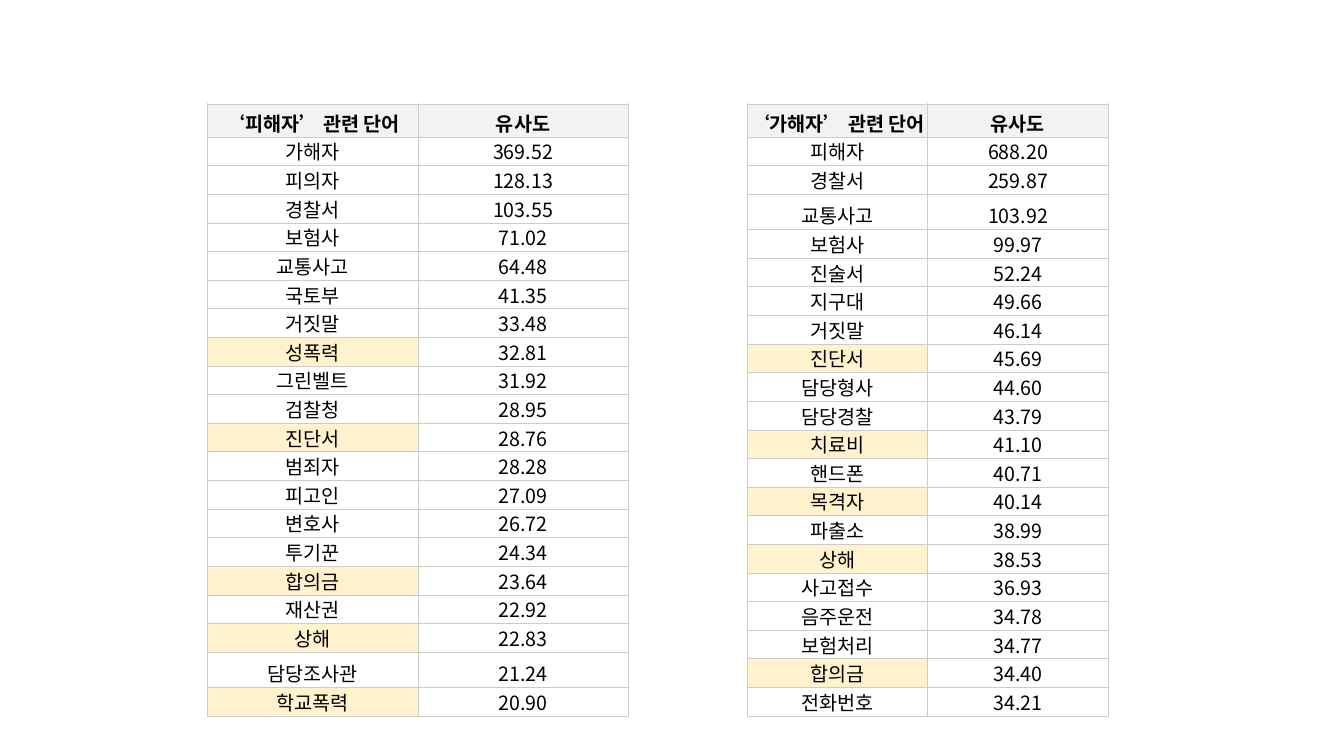
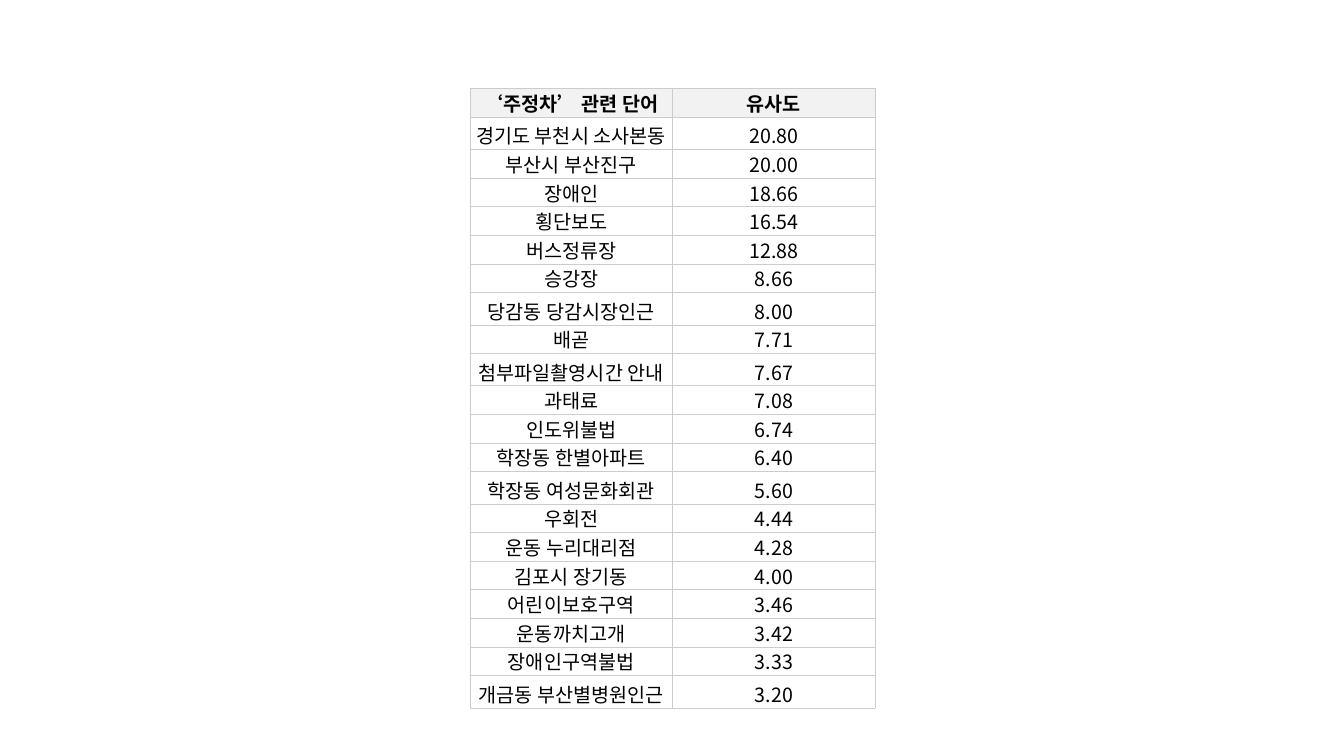
from lxml import etree
from pptx import Presentation, util as u
from pptx.dml.color import RGBColor
from pptx.enum import text as t
from pptx.oxml import ns

WIDE, HIGH = 13.33, 7.5
FONT = "Noto Sans CJK KR"
INK, LINE, HEAD, MARK = "000000", "CCCCCC", "F2F2F2", "FFF2CC"
KEYS = {"성폭력", "진단서", "합의금", "상해", "학교폭력", "치료비", "목격자"}

VICTIM = """가해자 369.52
피의자 128.13
경찰서 103.55
보험사 71.02
교통사고 64.48
국토부 41.35
거짓말 33.48
성폭력 32.81
그린벨트 31.92
검찰청 28.95
진단서 28.76
범죄자 28.28
피고인 27.09
변호사 26.72
투기꾼 24.34
합의금 23.64
재산권 22.92
상해 22.83
담당조사관 21.24
학교폭력 20.90"""

CULPRIT = """피해자 688.20
경찰서 259.87
교통사고 103.92
보험사 99.97
진술서 52.24
지구대 49.66
거짓말 46.14
진단서 45.69
담당형사 44.60
담당경찰 43.79
치료비 41.10
핸드폰 40.71
목격자 40.14
파출소 38.99
상해 38.53
사고접수 36.93
음주운전 34.78
보험처리 34.77
합의금 34.40
전화번호 34.21"""

PARKING = """경기도 부천시 소사본동 20.80
부산시 부산진구 20.00
장애인 18.66
횡단보도 16.54
버스정류장 12.88
승강장 8.66
당감동 당감시장인근 8.00
배곧 7.71
첨부파일촬영시간 안내 7.67
과태료 7.08
인도위불법 6.74
학장동 한별아파트 6.40
학장동 여성문화회관 5.60
우회전 4.44
운동 누리대리점 4.28
김포시 장기동 4.00
어린이보호구역 3.46
운동까치고개 3.42
장애인구역불법 3.33
개금동 부산별병원인근 3.20"""


def color(code):
    """Turn a hex string into a colour."""
    return RGBColor.from_string(code)


def across(share):
    """Length for a percentage of the slide width."""
    return u.Inches(WIDE * share / 100)


def down(share):
    """Length for a percentage of the slide height."""
    return u.Inches(HIGH * share / 100)


def write(frame, words, size=14, bold=False, ink=INK, align=t.PP_ALIGN.CENTER):
    """Put one formatted run in a text frame."""
    para = frame.paragraphs[0]
    para.alignment = align
    run = para.add_run()
    run.text = words
    font = run.font
    font.name, font.size, font.bold = FONT, u.Pt(size), bold
    font.color.rgb = color(ink)
    east = etree.SubElement(run._r.get_or_add_rPr(), ns.qn("a:ea"))
    east.set("typeface", FONT)


def border(cell, code=LINE, points=0.5):
    """Draw the four edges of a cell."""
    props = cell._tc.get_or_add_tcPr()
    for side in ("lnL", "lnR", "lnT", "lnB"):
        edge = etree.SubElement(props, ns.qn("a:" + side), w=str(u.Pt(points)))
        fill = etree.SubElement(edge, ns.qn("a:solidFill"))
        etree.SubElement(fill, ns.qn("a:srgbClr"), val=code)


def paint(cell, words, fill=None, bold=False, inset=0):
    """Format one table cell."""
    border(cell)
    if fill:
        cell.fill.solid()
        cell.fill.fore_color.rgb = color(fill)
    else:
        cell.fill.background()
    cell.margin_left = cell.margin_right = u.Inches(inset)
    cell.margin_top = cell.margin_bottom = 0
    cell.vertical_anchor = t.MSO_ANCHOR.BOTTOM
    write(cell.text_frame, words, bold=bold)


def ranking(slide, box, topic, data, rows, tall, inset=0):
    """Place a word and similarity table in a box of slide percentages."""
    left, top, wide, high = box
    first, plain, large = rows
    pairs = [(f"‘{topic}’ 관련 단어", "유사도")]
    pairs += [line.rsplit(" ", 1) for line in data.splitlines()]
    frame = slide.shapes.add_table(len(pairs), 2, across(left), down(top),
                                   across(wide), down(high))
    table = frame.table
    table.first_row = table.horz_banding = False
    for row, (word, score) in enumerate(pairs):
        head = row == 0
        share = first if head else large if row in tall else plain
        table.rows[row].height = down(share)
        mark = HEAD if head else MARK if word in KEYS else None
        paint(table.cell(row, 0), word, mark, head, inset)
        paint(table.cell(row, 1), score, HEAD if head else None, head, inset)
    frame.height = down(high)


def main():
    """Build both slides and save them."""
    deck = Presentation()
    deck.slide_width, deck.slide_height = u.Inches(WIDE), u.Inches(HIGH)
    blank = deck.slide_layouts[6]
    people = deck.slides.add_slide(blank)
    rows = (4.4, 3.07, 4.67)
    ranking(people, (15.45, 13.73, 31.3, 70.53), "피해자", VICTIM, rows, {19}, 0.01)
    ranking(people, (55.6, 13.73, 26.86, 70.53), "가해자", CULPRIT, rows, {3}, 0.01)
    street = deck.slides.add_slide(blank)
    ranking(street, (34.96, 11.73, 30.16, 74.27), "주정차", PARKING,
            (3.47, 2.67, 4.27), {1, 7, 9, 13, 20})
    deck.save("out.pptx")


main()
